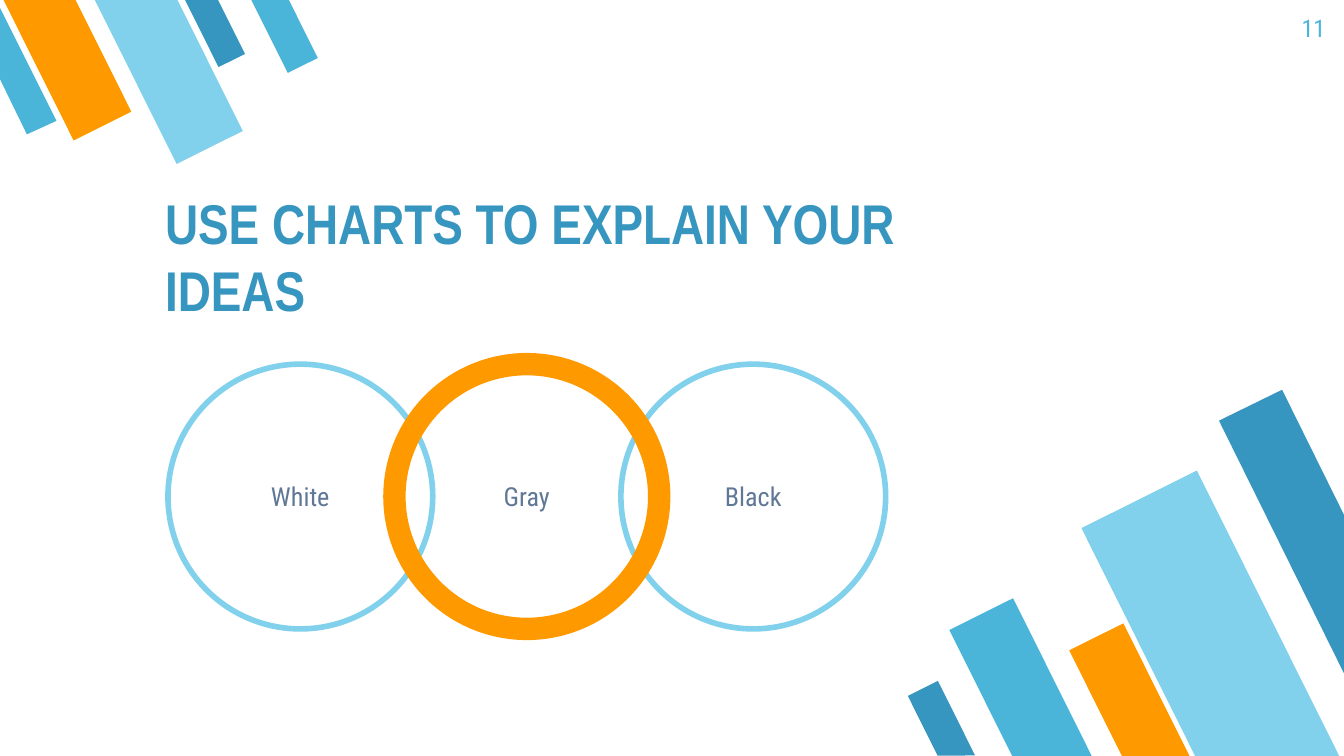
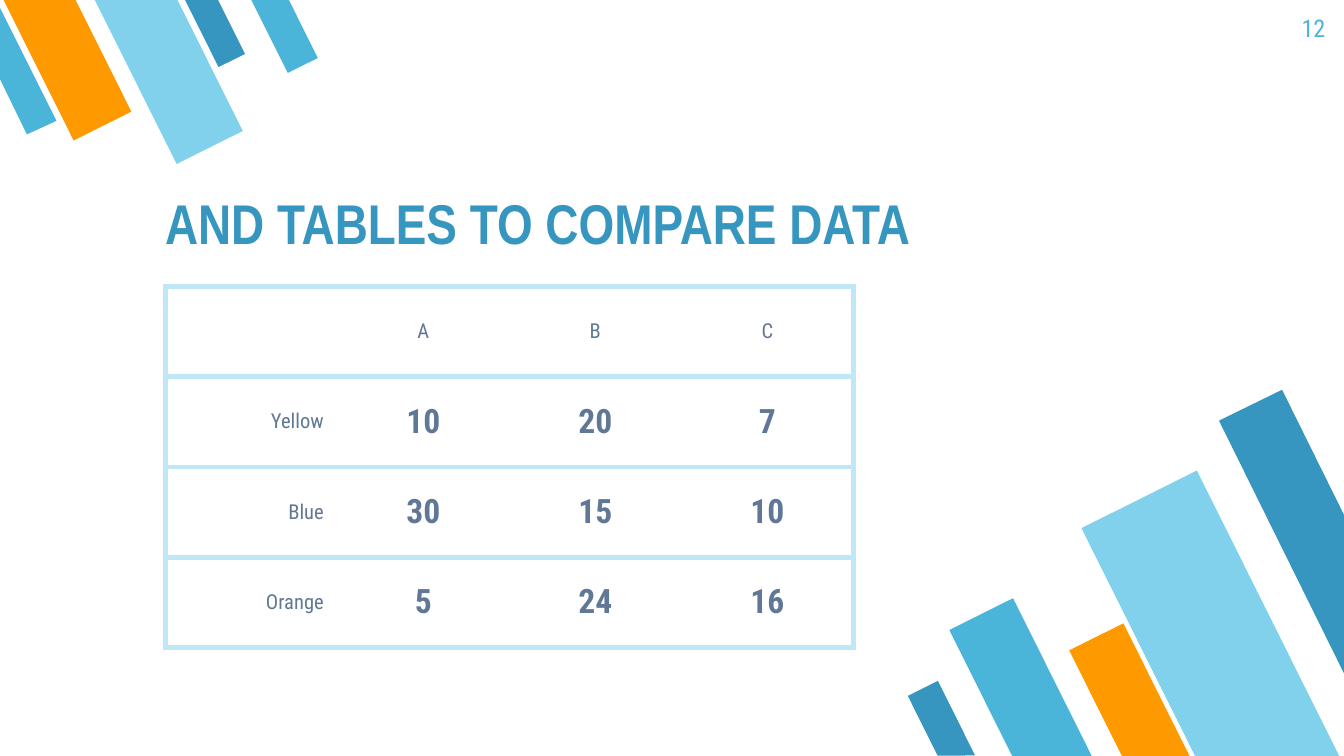
from pptx import Presentation
from pptx.dml.color import RGBColor
from pptx.enum.shapes import MSO_SHAPE
from pptx.enum.text import MSO_ANCHOR, PP_ALIGN
from pptx.oxml import parse_xml
from pptx.oxml.ns import nsdecls, qn
from pptx.util import Inches, Pt

DARK_BLUE = "3796BF"
MID_BLUE = "4BB5D9"
LIGHT_BLUE = "81D1EC"
PALE_BLUE = "C0E7F6"
ORANGE = "FF9900"
SLATE = "607896"
TITLE_FONT = "Arial Narrow"
BODY_FONT = "Roboto Condensed"

LOWER_ANGLE = 153.5
UPPER_ANGLE = 333.5
LOWER_BARS = [
    (7.33, 4.5, 0.53, 1.32, MID_BLUE),
    (8.53, 3.59, 0.96, 2.39, LIGHT_BLUE),
    (8.18, 4.68, 0.45, 1.11, ORANGE),
    (6.88, 5.09, 0.25, 0.62, DARK_BLUE),
]
UPPER_BARS = [
    (1.49, -0.08, 0.22, 0.56, DARK_BLUE),
    (0.26, -0.18, 0.48, 1.18, ORANGE),
    (0.98, -0.2, 0.55, 1.37, LIGHT_BLUE),
    (1.99, -0.1, 0.25, 0.62, MID_BLUE),
]
RIGHT_EDGE_BAR = [(9.54, 2.9), (9.07, 3.13), (10, 5.01), (10, 3.83)]
LEFT_EDGE_BAR = [(0.2, 1), (0.42, 0.9), (0, 0.06), (0, 0.59)]

TABLE_ROWS = [
    ("", "A", "B", "C"),
    ("Yellow", "10", "20", "7"),
    ("Blue", "30", "15", "10"),
    ("Orange", "5", "24", "16"),
]


def color(value):
    return RGBColor.from_string(value)


def paint(shape, fill):
    shape.shadow.inherit = False
    shape.fill.solid()
    shape.fill.fore_color.rgb = color(fill)
    shape.line.fill.background()


def write(text_frame, text, size, text_color, font=BODY_FONT, bold=False,
          align=PP_ALIGN.LEFT):
    paragraph = text_frame.paragraphs[0]
    paragraph.text = text
    paragraph.alignment = align
    paragraph.font.name = font
    paragraph.font.size = Pt(size)
    paragraph.font.bold = bold
    paragraph.font.color.rgb = color(text_color)


def set_frame(text_frame, anchor):
    text_frame.word_wrap = True
    text_frame.vertical_anchor = anchor
    text_frame.margin_left = text_frame.margin_right = Inches(0.1)
    text_frame.margin_top = text_frame.margin_bottom = Inches(0.1)


def add_bar(slide, left, top, width, height, fill, angle):
    bar = slide.shapes.add_shape(
        MSO_SHAPE.FLOWCHART_MANUAL_INPUT,
        Inches(left), Inches(top), Inches(width), Inches(height))
    bar.rotation = angle
    bar._element.spPr.find(qn("a:xfrm")).set("flipH", "1")
    paint(bar, fill)


def add_edge_bar(slide, points, fill):
    corners = [(Inches(x), Inches(y)) for x, y in points]
    builder = slide.shapes.build_freeform(*corners[0])
    builder.add_line_segments(corners[1:], close=True)
    paint(builder.convert_to_shape(), fill)


def add_text(slide, left, top, width, height, anchor, *text, **style):
    box = slide.shapes.add_textbox(
        Inches(left), Inches(top), Inches(width), Inches(height))
    set_frame(box.text_frame, anchor)
    write(box.text_frame, *text, **style)


def add_base_slide(presentation, title, title_top, number):
    slide = presentation.slides.add_slide(presentation.slide_layouts[6])
    for bar in LOWER_BARS:
        add_bar(slide, *bar, LOWER_ANGLE)
    add_edge_bar(slide, RIGHT_EDGE_BAR, DARK_BLUE)
    for bar in UPPER_BARS:
        add_bar(slide, *bar, UPPER_ANGLE)
    add_edge_bar(slide, LEFT_EDGE_BAR, MID_BLUE)
    add_text(slide, 1.13, title_top, 6.3, 0.74, MSO_ANCHOR.BOTTOM,
             title, 30, DARK_BLUE, font=TITLE_FONT, bold=True)
    add_text(slide, 9.36, 0, 0.6, 0.43, MSO_ANCHOR.TOP,
             str(number), 13, MID_BLUE, align=PP_ALIGN.RIGHT)
    return slide


def add_ring(slide, position, label, line_color, line_width):
    ring = slide.shapes.add_shape(
        MSO_SHAPE.OVAL, Inches(1.25 + 3.37 * position / 2), Inches(2.71),
        Inches(1.97), Inches(1.97))
    ring.shadow.inherit = False
    ring.fill.background()
    ring.line.color.rgb = color(line_color)
    ring.line.width = Pt(line_width)
    set_frame(ring.text_frame, MSO_ANCHOR.MIDDLE)
    write(ring.text_frame, label, 14, SLATE, align=PP_ALIGN.CENTER)


def set_borders(cell, visible_sides):
    properties = cell._tc.get_or_add_tcPr()
    for side in "LRTB":
        if side in visible_sides:
            stroke = f'<a:solidFill><a:srgbClr val="{PALE_BLUE}"/></a:solidFill>'
        else:
            stroke = "<a:noFill/>"
        properties.append(parse_xml(
            f'<a:ln{side} {nsdecls("a")} w="{Pt(3)}">{stroke}</a:ln{side}>'))


def add_data_table(slide, rows):
    column_count = len(rows[0])
    table = slide.shapes.add_table(
        len(rows), column_count, Inches(1.23), Inches(2.13),
        Inches(1.28 * column_count), Inches(2.69)).table
    table.first_row = table.horz_banding = False
    for row_index, row in enumerate(rows):
        for column_index, text in enumerate(row):
            cell = table.cell(row_index, column_index)
            is_first = column_index == 0
            is_value = row_index > 0 and not is_first
            sides = "TB" + "L" * is_first + "R" * (column_index == column_count - 1)
            set_borders(cell, sides)
            cell.fill.background()
            cell.vertical_anchor = MSO_ANCHOR.MIDDLE
            cell.margin_left = cell.margin_right = Inches(0.1)
            cell.margin_top = cell.margin_bottom = Inches(0.07)
            write(cell.text_frame, text, 18 if is_value else 11, SLATE,
                  bold=is_value,
                  align=PP_ALIGN.RIGHT if is_first else PP_ALIGN.CENTER)


def main():
    presentation = Presentation()
    presentation.slide_width = Inches(10)
    presentation.slide_height = Inches(10 * 9 / 16)

    slide = add_base_slide(presentation, "USE CHARTS TO EXPLAIN YOUR IDEAS", 1.76, 11)
    add_ring(slide, 0, "White", LIGHT_BLUE, 3)
    add_ring(slide, 2, "Black", LIGHT_BLUE, 3)
    add_ring(slide, 1, "Gray", ORANGE, 12)

    slide = add_base_slide(presentation, "AND TABLES TO COMPARE DATA", 1.26, 12)
    add_data_table(slide, TABLE_ROWS)

    presentation.save("out.pptx")


if __name__ == "__main__":
    main()
